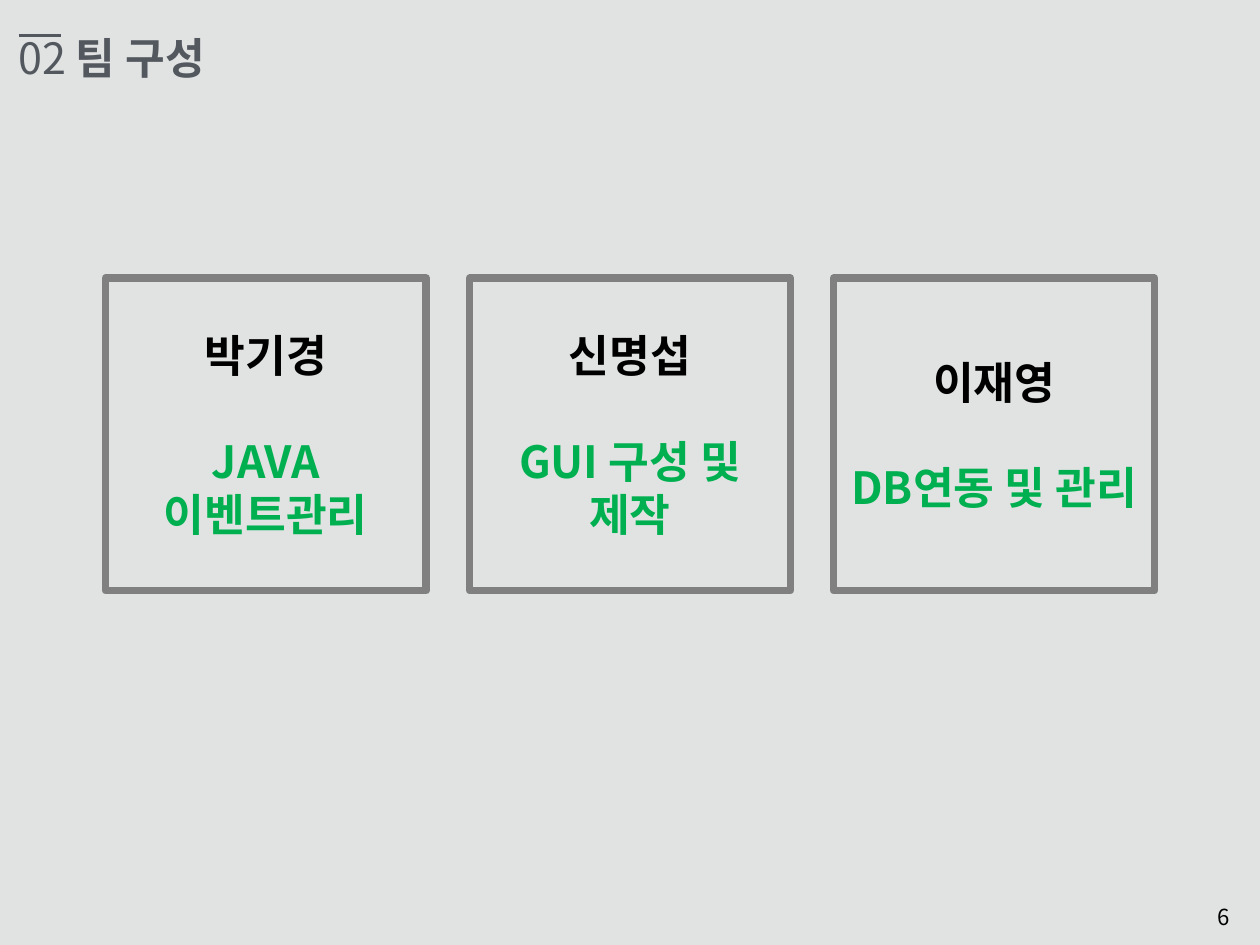
from lxml import etree
from pptx import Presentation
from pptx import util as u
from pptx.dml.color import RGBColor
from pptx.enum import shapes, text
from pptx.oxml import ns

FONT = "Noto Sans CJK KR"
SLATE, GRAY, GREEN, BLACK = "53585F", "808080", "00B050", "000000"
LINE_RATIO = 1.2
MEMBERS = [
    ("박기경", "JAVA 이벤트관리"),
    ("신명섭", "GUI 구성 및 제작"),
    ("이재영", "DB연동 및 관리"),
]


def color(value):
    """Turn a hex string into a colour."""
    return RGBColor.from_string(value)


def set_frame(frame, wrap, anchor):
    """Set the wrapping, anchor and even margins of a text frame."""
    frame.word_wrap = wrap
    frame.vertical_anchor = anchor
    frame.margin_left = frame.margin_right = u.Inches(0.06)
    frame.margin_top = frame.margin_bottom = u.Inches(0.06)


def add_run(paragraph, words, size, ink, bold=False):
    """Add one run and centre its paragraph on a fixed line pitch."""
    paragraph.alignment = text.PP_ALIGN.CENTER
    paragraph.line_spacing = u.Pt(round(size * LINE_RATIO))
    run = paragraph.add_run()
    run.text = words
    run.font.size = u.Pt(size)
    run.font.bold = bold
    run.font.name = FONT
    run.font.color.rgb = color(ink)
    east_asian = etree.SubElement(run.font._element, ns.qn("a:ea"))
    east_asian.set("typeface", FONT)


def add_label(slide, box, anchor):
    """Add an unwrapped text box and return its first paragraph."""
    frame = slide.shapes.add_textbox(*map(u.Inches, box)).text_frame
    set_frame(frame, False, anchor)
    return frame.paragraphs[0]


def add_heading(slide, left, top, width, height):
    """Add the section number and title with the bar over the number."""
    paragraph = add_label(slide, (left, top, width, height), text.MSO_ANCHOR.MIDDLE)
    add_run(paragraph, "02 ", 35, SLATE)
    add_run(paragraph, "팀 구성", 35, SLATE, bold=True)
    bar_left, bar_top = left + 0.13, top + 0.1
    ends = (bar_left, bar_top, bar_left + 0.48, bar_top)
    bar = slide.shapes.add_connector(shapes.MSO_CONNECTOR.STRAIGHT, *map(u.Inches, ends))
    bar.line.color.rgb = color(SLATE)
    bar.line.width = u.Pt(3)
    etree.SubElement(bar._element.spPr, ns.qn("a:effectLst"))


def add_member(slide, box, name, role):
    """Add a framed card with a member's name and role."""
    card = slide.shapes.add_shape(shapes.MSO_SHAPE.RECTANGLE, *map(u.Inches, box))
    card.shadow.inherit = False
    card.fill.background()
    card.line.color.rgb = color(GRAY)
    card.line.width = u.Pt(6)
    frame = card.text_frame
    set_frame(frame, True, text.MSO_ANCHOR.MIDDLE)
    add_run(frame.paragraphs[0], name, 36, BLACK, bold=True)
    paragraph = frame.add_paragraph()
    paragraph.space_before = u.Pt(round(36 * LINE_RATIO))
    add_run(paragraph, role, 36, GREEN, bold=True)


def add_team(slide, left, top, width, height, gap=0.49):
    """Spread the member cards evenly across the given box."""
    card_width = (width - gap * (len(MEMBERS) - 1)) / len(MEMBERS)
    for index, (name, role) in enumerate(MEMBERS):
        card_left = left + index * (card_width + gap)
        add_member(slide, (card_left, top, card_width, height), name, role)


def add_page_number(slide, left, top, width, height):
    """Add the page number."""
    paragraph = add_label(slide, (left, top, width, height), text.MSO_ANCHOR.TOP)
    add_run(paragraph, "6", 18, BLACK)


def main():
    """Build the team slide and save it."""
    presentation = Presentation()
    presentation.slide_width = u.Inches(14.22)
    presentation.slide_height = u.Inches(10.67)
    slide = presentation.slides.add_slide(presentation.slide_layouts[6])
    slide.background.fill.solid()
    slide.background.fill.fore_color.rgb = color("E1E3E3")
    add_heading(slide, 0.08, 0.3, 2.36, 0.7)
    add_page_number(slide, 13.68, 10.14, 0.26, 0.4)
    add_team(slide, 1.19, 3.14, 11.84, 3.53)
    presentation.save("out.pptx")


main()
